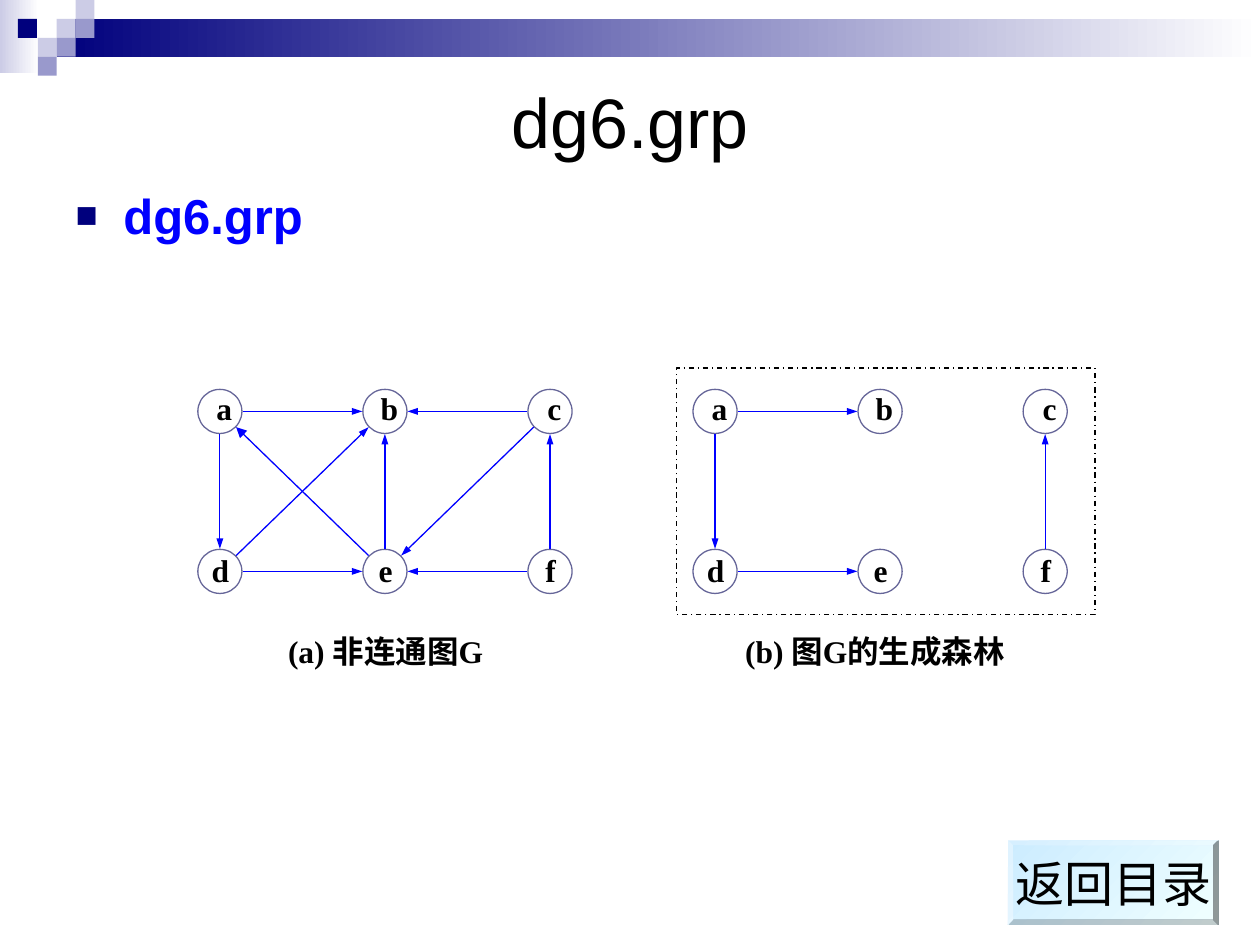
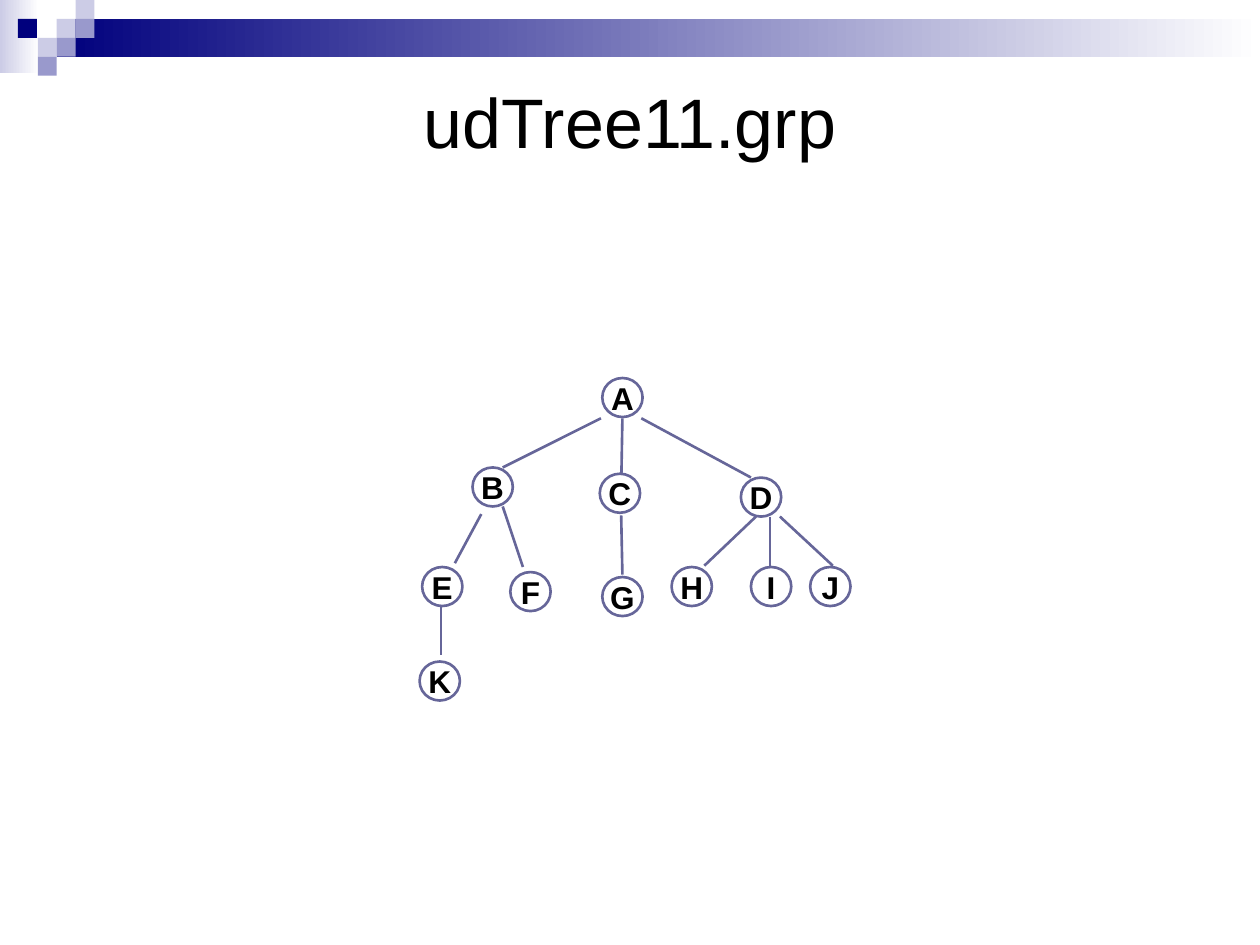
"""Build two slides: a directed graph with its spanning forest, and a tree."""
from dataclasses import dataclass
from math import hypot

from lxml import etree
from pptx import Presentation, util as u
from pptx.dml.color import RGBColor
from pptx.enum import dml, shapes, text
from pptx.oxml import ns


@dataclass(frozen=True)
class Theme:
    ink: str = "000000"
    paper: str = "FFFFFF"
    navy: str = "00007D"
    blue: str = "0000FF"
    outline: str = "666699"
    mid: str = "9999CC"
    pale: str = "CCCCE6"
    button_from: str = "CCECFF"
    button_to: str = "F0FFFF"
    sans: str = "Arial"
    serif: str = "Times New Roman"
    title_size: int = 40
    body_size: int = 28
    label_size: int = 18
    thin: float = 0.75
    thick: float = 1.5


THEME = Theme()
SLIDE_WIDTH, SLIDE_HEIGHT = 10, 7.5
CELL = 0.15
NODE, LABEL_WIDTH, LABEL_HEIGHT = 0.35, 0.24, 0.29
COLUMN, ROW, GRAPH_TOP = 1.31, 1.27, 3.09
EDGE_GAP = 0.18
TREE_NODE = (0.32, 0.31)

GRAPH_NODES = {"a": (0, 0), "b": (1, 0), "c": (2, 0),
               "d": (0, 1), "e": (1, 1), "f": (2, 1)}
GRAPH_EDGES = ["ab", "ad", "de", "ea", "eb", "cb", "fe", "fc", "db", "ce"]
FOREST_EDGES = ["ab", "ad", "de", "fc"]

TREE_NODES = {"A": (4.78, 3), "B": (3.75, 3.71), "C": (4.76, 3.76),
              "D": (5.88, 3.79), "E": (3.35, 4.5), "F": (4.05, 4.54),
              "G": (4.78, 4.58), "H": (5.33, 4.5), "I": (5.96, 4.5),
              "J": (6.43, 4.5), "K": (3.33, 5.25)}
TREE_EDGES = {"AB": (4.77, 3.32, 3.99, 3.71), "AD": (5.09, 3.32, 5.96, 3.79),
              "AC": (4.94, 3.32, 4.93, 3.87), "CG": (4.93, 4.09, 4.94, 4.56),
              "EK": (3.5, 4.81, 3.5, 5.2), "DI": (6.11, 4.1, 6.11, 4.49),
              "BF": (3.99, 4.02, 4.15, 4.5), "BE": (3.82, 4.08, 3.61, 4.47),
              "DJ": (6.19, 4.1, 6.61, 4.49), "DH": (6, 4.1, 5.59, 4.49)}


def inches(*lengths):
    """Convert numbers to lengths in inches."""
    return [u.Inches(length) for length in lengths]


def rgb(code):
    """Turn a hex code into a colour."""
    return RGBColor.from_string(code)


def write(frame, words, size=THEME.label_size, font=THEME.sans,
          color=THEME.ink, bold=False, align=text.PP_ALIGN.CENTER):
    """Put one formatted paragraph in a text frame and return it."""
    para = frame.paragraphs[0]
    para.alignment = align
    span = para.add_run()
    span.text = words
    span.font.size, span.font.name, span.font.bold = u.Pt(size), font, bold
    span.font.color.rgb = rgb(color)
    return para


def add_box(page, kind, at, fill=None, line=None, width=THEME.thin, angle=0):
    """Add a preset shape with no, plain or two-colour gradient fill."""
    box = page.shapes.add_shape(kind, *inches(*at))
    box.shadow.inherit = False
    if fill is None:
        box.fill.background()
    elif isinstance(fill, tuple):
        box.fill.gradient()
        box.fill.gradient_angle = angle
        for stop, color in zip(box.fill.gradient_stops, fill):
            stop.color.rgb = rgb(color)
    else:
        box.fill.solid()
        box.fill.fore_color.rgb = rgb(fill)
    if line:
        box.line.color.rgb = rgb(line)
        box.line.width = u.Pt(width)
    else:
        box.line.fill.background()
    return box


def add_label(page, at, words, margins=(0, 0), **style):
    """Add a wrapped text box with the given side and top margins."""
    frame = page.shapes.add_textbox(*inches(*at)).text_frame
    frame.word_wrap = True
    frame.margin_left = frame.margin_right = u.Inches(margins[0])
    frame.margin_top = frame.margin_bottom = u.Inches(margins[1])
    write(frame, words, **style)


def add_line(page, ends, color, width, arrow=None):
    """Add a straight line; arrow gives the width of its end arrowhead."""
    line = page.shapes.add_connector(shapes.MSO_CONNECTOR.STRAIGHT, *inches(*ends))
    line.line.color.rgb = rgb(color)
    line.line.width = u.Pt(width)
    if arrow:
        etree.SubElement(line.line._get_or_add_ln(), ns.qn("a:tailEnd"),
                         type="triangle", w=arrow, len="med")
    etree.SubElement(line.element.spPr, ns.qn("a:effectLst"))


def add_shared_band(deck, page):
    """Draw the top band and squares, then move them to the slide master."""
    rect = shapes.MSO_SHAPE.RECTANGLE
    boxes = [
        add_box(page, rect, (0, 0, 0.31, 0.58), (THEME.pale, THEME.paper)),
        add_box(page, rect, (3 * CELL, CELL, SLIDE_WIDTH - 3 * CELL, 2 * CELL),
                (THEME.navy, THEME.paper))]
    squares = [(3, 1, THEME.pale), (4, 0, THEME.pale), (4, 1, THEME.mid),
               (2, 2, THEME.pale), (0.95, 1, THEME.navy), (3, 2, THEME.mid),
               (2, 3, THEME.mid)]
    for column, row, color in squares:
        boxes.append(add_box(page, rect, (column * CELL, row * CELL, CELL, CELL), color))
    for place, box in enumerate(boxes, start=2):
        deck.slide_master.shapes.element.insert(place, box.element)


def place(holder, at):
    """Move a placeholder."""
    holder.left, holder.top, holder.width, holder.height = inches(*at)


def set_title(page, words):
    """Fill the title placeholder."""
    title = page.shapes.title
    place(title, (0.5, 0.5, 0.9 * SLIDE_WIDTH, 0.92))
    title.text_frame.vertical_anchor = text.MSO_ANCHOR.MIDDLE
    write(title.text_frame, words, size=THEME.title_size)


def set_bullet(page, words):
    """Fill the body placeholder with one square-bulleted line."""
    body = page.placeholders[1]
    place(body, (0.5, 1.42, 0.9 * SLIDE_WIDTH, 5.33))
    para = write(body.text_frame, words, size=THEME.body_size,
                 color=THEME.blue, bold=True, align=text.PP_ALIGN.LEFT)
    para.space_before = u.Pt(7)
    props = para._p.get_or_add_pPr()
    props.set("marL", str(u.Inches(0.38)))
    props.set("indent", str(u.Inches(-0.38)))
    color = etree.SubElement(props, ns.qn("a:buClr"))
    etree.SubElement(color, ns.qn("a:srgbClr"), val=THEME.navy)
    etree.SubElement(props, ns.qn("a:buSzPct"), val="75000")
    etree.SubElement(props, ns.qn("a:buFont"), typeface=THEME.sans)
    etree.SubElement(props, ns.qn("a:buChar"), char="■")


def add_graph(page, left, edges):
    """Draw the six lettered nodes on their grid and the given arrows."""
    corners = {name: (left + column * COLUMN, GRAPH_TOP + row * ROW)
               for name, (column, row) in GRAPH_NODES.items()}
    for name, (x, y) in corners.items():
        add_box(page, shapes.MSO_SHAPE.OVAL, (x, y, NODE, NODE),
                THEME.paper, THEME.outline)
        shift, drop = (0.06, 0.01) if GRAPH_NODES[name][1] else (0.09, 0)
        add_label(page, (x + shift, y + drop, LABEL_WIDTH, LABEL_HEIGHT), name,
                  font=THEME.serif, bold=True)
    for start, end in edges:
        (x1, y1), (x2, y2) = [(x + NODE / 2, y + NODE / 2)
                              for x, y in (corners[start], corners[end])]
        share = EDGE_GAP / hypot(x2 - x1, y2 - y1)
        dx, dy = share * (x2 - x1), share * (y2 - y1)
        add_line(page, (x1 + dx, y1 + dy, x2 - dx, y2 - dy), THEME.blue,
                 THEME.thin, arrow="med" if start + end == "ea" else "sm")


def add_tree(page):
    """Draw the tree's branches and its lettered nodes."""
    for ends in TREE_EDGES.values():
        add_line(page, ends, THEME.outline, THEME.thick)
    for name, corner in TREE_NODES.items():
        node = add_box(page, shapes.MSO_SHAPE.OVAL, corner + TREE_NODE,
                       THEME.paper, THEME.outline, THEME.thick)
        node.text_frame.word_wrap = False
        write(node.text_frame, name, bold=True)


def add_button(page, words):
    """Add the bevelled return button in the lower right corner."""
    button = add_box(page, shapes.MSO_SHAPE.BEVEL, (8, 6.67, 1.67, 0.67),
                     (THEME.button_from, THEME.button_to), angle=315)
    button.adjustments[0] = 0.06
    button.text_frame.word_wrap = False
    write(button.text_frame, words, size=THEME.body_size)


def build_graph_page(page):
    """Fill the slide with the graph and its spanning forest."""
    set_title(page, "dg6.grp")
    set_bullet(page, "dg6.grp")
    captions = [((2.14, 4.97, 1.84, 0.44), "(a) 非连通图G"),
                ((5.73, 4.97, 2.43, 0.44), "(b) 图G的生成森林")]
    for at, words in captions:
        add_label(page, at, words, margins=(0.1, 0.05), font=THEME.serif, bold=True)
    add_graph(page, 1.57, GRAPH_EDGES)
    add_graph(page, 5.5, FOREST_EDGES)
    frame = add_box(page, shapes.MSO_SHAPE.RECTANGLE, (5.37, 2.92, 3.32, 1.96),
                    line=THEME.ink)
    frame.line.dash_style = dml.MSO_LINE.DASH_DOT
    add_button(page, "返回目录")


def main():
    """Build and save the deck."""
    deck = Presentation()
    deck.slide_width, deck.slide_height = inches(SLIDE_WIDTH, SLIDE_HEIGHT)
    graph_page = deck.slides.add_slide(deck.slide_layouts[1])
    add_shared_band(deck, graph_page)
    build_graph_page(graph_page)
    tree_page = deck.slides.add_slide(deck.slide_layouts[5])
    set_title(tree_page, "udTree11.grp")
    add_tree(tree_page)
    deck.save("out.pptx")


if __name__ == "__main__":
    main()
